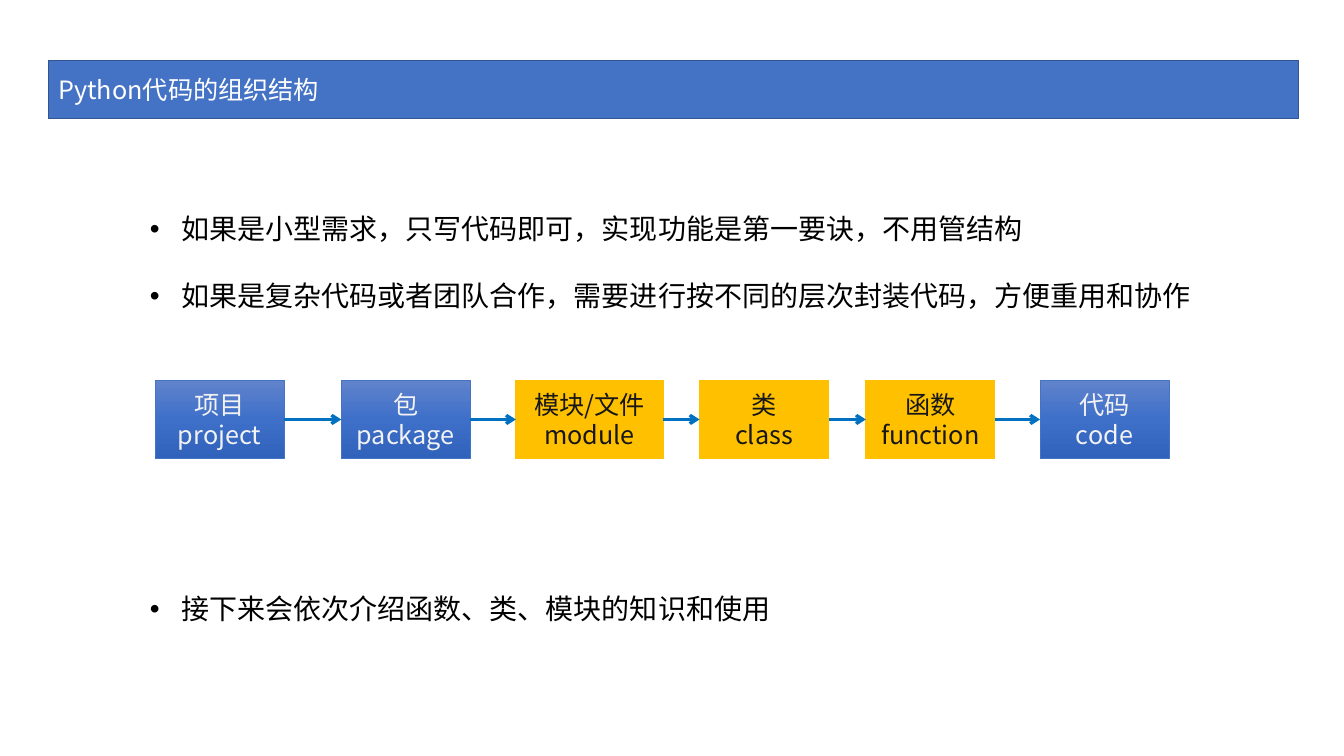
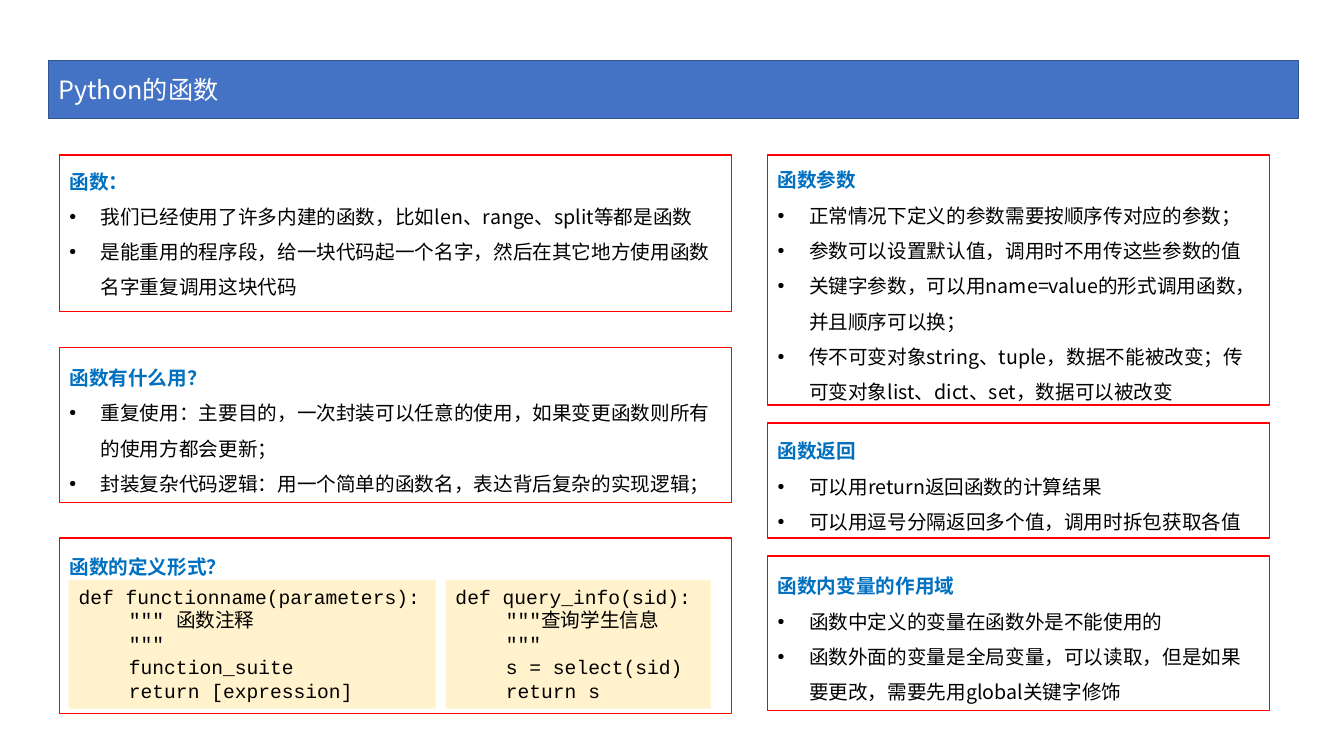
from dataclasses import dataclass
from itertools import pairwise

from lxml import etree
from pptx import Presentation
from pptx.dml.color import RGBColor
from pptx.enum import shapes, text
from pptx.oxml import ns
from pptx.util import Cm, Pt

COLORS = {
    "bar": "4472C4", "bar_edge": "325491", "white": "FFFFFF", "black": "000000",
    "pale": "F2F2F2", "dark": "181717", "gold": "FFC000", "accent": "0070C0",
    "frame": "FF0000", "code": "FFF2CC",
}
STEP_GRADIENT = ((0, "6183CB"), (50, "3E70CA"), (100, "3062BB"))
BODY_FONT, CODE_FONT = "Noto Sans CJK SC", "Courier New"
HANGING, CODE_INDENT = 0.79, 1.27
STEP_TOP, STEP_HEIGHT = 9.58, 1.98
PANEL_TOP = 3.91


@dataclass(frozen=True)
class Box:
    left: float
    top: float
    width: float
    height: float


@dataclass(frozen=True)
class Step:
    """One level of code organisation; highlighted levels are taught next."""
    left: float
    label: str
    term: str
    highlighted: bool = False
    width: float = 3.25


@dataclass(frozen=True)
class Panel:
    height: float
    heading: str
    points: tuple[str, ...] = ()
    bottom_inset: float = 0.13
    anchor: text.MSO_ANCHOR = text.MSO_ANCHOR.MIDDLE


@dataclass(frozen=True)
class Column:
    left: float
    width: float
    gap: float
    panels: tuple[Panel, ...]


@dataclass(frozen=True)
class Snippet:
    left: float
    width: float
    signature: str
    body: tuple[str, ...]


STEPS = (
    Step(3.91, "项目", "project"),
    Step(8.6, "包", "package"),
    Step(13, "模块/文件", "module", True, 3.71),
    Step(17.63, "类", "class", True),
    Step(21.82, "函数", "function", True),
    Step(26.21, "代码", "code"),
)
ADVICE = (
    (Box(3.53, 4.01, 26.9, 4.34), (
        "如果是小型需求，只写代码即可，实现功能是第一要诀，不用管结构",
        "如果是复杂代码或者团队合作，需要进行按不同的层次封装代码，方便重用和协作",
    )),
    (Box(3.53, 13.74, 26.9, 2.34), ("接下来会依次介绍函数、类、模块的知识和使用",)),
)
COLUMNS = (
    Column(1.5, 16.94, 0.9, (
        Panel(3.94, "函数：", (
            "我们已经使用了许多内建的函数，比如len、range、split等都是函数",
            "是能重用的程序段，给一块代码起一个名字，然后在其它地方使用函数名字重复调用这块代码",
        ), bottom_inset=0.38),
        Panel(3.91, "函数有什么用？", (
            "重复使用：主要目的，一次封装可以任意的使用，如果变更函数则所有的使用方都会更新；",
            "封装复杂代码逻辑：用一个简单的函数名，表达背后复杂的实现逻辑；",
        )),
        Panel(4.42, "函数的定义形式？", anchor=text.MSO_ANCHOR.TOP),
    )),
    Column(19.35, 12.65, 0.45, (
        Panel(6.3, "函数参数", (
            "正常情况下定义的参数需要按顺序传对应的参数；",
            "参数可以设置默认值，调用时不用传这些参数的值",
            "关键字参数，可以用name=value的形式调用函数，并且顺序可以换；",
            "传不可变对象string、tuple，数据不能被改变；传可变对象list、dict、set，数据可以被改变",
        )),
        Panel(2.9, "函数返回", (
            "可以用return返回函数的计算结果",
            "可以用逗号分隔返回多个值，调用时拆包获取各值",
        )),
        Panel(3.89, "函数内变量的作用域", (
            "函数中定义的变量在函数外是不能使用的",
            "函数外面的变量是全局变量，可以读取，但是如果要更改，需要先用global关键字修饰",
        )),
    )),
)
SNIPPETS = (
    Snippet(11.23, 6.68, "def query_info(sid):",
            ('"""查询学生信息', '"""', "s = select(sid)", "return s")),
    Snippet(1.73, 9.25, "def functionname(parameters):",
            ('""" 函数注释', '"""', "function_suite", "return [expression]")),
)


def rgb(name: str) -> RGBColor:
    return RGBColor.from_string(COLORS[name])


def add_box(slide, box: Box, fill: str, line: str | None = None,
            line_width: float = 1, anchor=text.MSO_ANCHOR.MIDDLE):
    shape = slide.shapes.add_shape(
        shapes.MSO_SHAPE.RECTANGLE,
        Cm(box.left), Cm(box.top), Cm(box.width), Cm(box.height))
    shape.shadow.inherit = False
    shape.fill.solid()
    shape.fill.fore_color.rgb = rgb(fill)
    if line:
        shape.line.color.rgb = rgb(line)
        shape.line.width = Pt(line_width)
    else:
        shape.line.fill.background()
    shape.text_frame.word_wrap = True
    shape.text_frame.vertical_anchor = anchor
    return shape


def write(frame, content: str, *, size: float, color: str = "black",
          font: str = BODY_FONT, bold: bool = False, spacing: float = 1,
          align=text.PP_ALIGN.LEFT, bullet: bool = False, indent: float = 0) -> None:
    """Put one formatted paragraph at the end of a text frame."""
    paragraph = frame.paragraphs[-1]
    if paragraph.runs:
        paragraph = frame.add_paragraph()
    paragraph.alignment = align
    paragraph.line_spacing = spacing
    run = paragraph.add_run()
    run.text = content
    run.font.name = font
    run.font.size = Pt(size)
    run.font.bold = bold
    run.font.color.rgb = rgb(color)
    etree.SubElement(run.font._element, ns.qn("a:ea"), typeface=BODY_FONT)
    properties = paragraph._p.get_or_add_pPr()
    if bullet:
        properties.set("marL", str(Cm(HANGING)))
        properties.set("indent", str(-Cm(HANGING)))
        etree.SubElement(properties, ns.qn("a:buFont"), typeface="Arial")
        etree.SubElement(properties, ns.qn("a:buChar"), char="•")
    elif indent:
        properties.set("marL", str(Cm(indent)))


def apply_gradient(shape) -> None:
    """Shade a shape downwards through the three step colours."""
    shape.fill.gradient()
    shape.fill.gradient_angle = 270
    stops = shape._element.spPr.find(ns.qn("a:gradFill")).find(ns.qn("a:gsLst"))
    for old_stop in list(stops):
        stops.remove(old_stop)
    for percent, color in STEP_GRADIENT:
        stop = etree.SubElement(stops, ns.qn("a:gs"), pos=str(percent * 1000))
        etree.SubElement(stop, ns.qn("a:srgbClr"), val=color)


def add_titled_slide(deck, title: str):
    slide = deck.slides.add_slide(deck.slide_layouts[6])
    bar = add_box(slide, Box(1.22, 1.52, 31.5, 1.47), "bar", "bar_edge")
    write(bar.text_frame, title, size=18, color="white")
    return slide


def add_step(slide, step: Step):
    fill = "gold" if step.highlighted else "bar"
    shape = add_box(slide, Box(step.left, STEP_TOP, step.width, STEP_HEIGHT),
                    fill, fill, 0.5)
    if not step.highlighted:
        apply_gradient(shape)
    for content in (step.label, step.term):
        write(shape.text_frame, content, size=18, align=text.PP_ALIGN.CENTER,
              color="dark" if step.highlighted else "pale")
    return shape


def add_arrow(slide, source, target) -> None:
    arrow = slide.shapes.add_connector(shapes.MSO_CONNECTOR.STRAIGHT, 0, 0, 0, 0)
    arrow.begin_connect(source, 3)
    arrow.end_connect(target, 1)
    arrow.line.color.rgb = rgb("accent")
    arrow.line.width = Pt(2.25)
    etree.SubElement(arrow.line._get_or_add_ln(), ns.qn("a:tailEnd"), type="arrow")
    etree.SubElement(arrow._element.spPr, ns.qn("a:effectLst"))


def add_column(slide, column: Column) -> None:
    top = PANEL_TOP
    for panel in column.panels:
        shape = add_box(slide, Box(column.left, top, column.width, panel.height),
                        "white", "frame", anchor=panel.anchor)
        frame = shape.text_frame
        frame.margin_bottom = Cm(panel.bottom_inset)
        write(frame, panel.heading, size=14, color="accent", bold=True, spacing=1.5)
        for point in panel.points:
            write(frame, point, size=14, spacing=1.5, bullet=True)
        top += panel.height + column.gap


def add_snippet(slide, snippet: Snippet) -> None:
    shape = add_box(slide, Box(snippet.left, 14.61, snippet.width, 3.25), "code",
                    anchor=text.MSO_ANCHOR.TOP)
    frame = shape.text_frame
    frame.auto_size = text.MSO_AUTO_SIZE.SHAPE_TO_FIT_TEXT
    write(frame, snippet.signature, size=14, font=CODE_FONT)
    for statement in snippet.body:
        write(frame, statement, size=14, font=CODE_FONT, indent=CODE_INDENT)


def build_structure_slide(deck) -> None:
    slide = add_titled_slide(deck, "Python代码的组织结构")
    steps = [add_step(slide, step) for step in STEPS]
    for source, target in pairwise(steps):
        add_arrow(slide, source, target)
    for box, points in ADVICE:
        frame = add_box(slide, box, "white").text_frame
        for point in points:
            write(frame, point, size=20, spacing=2, bullet=True)


def build_function_slide(deck) -> None:
    slide = add_titled_slide(deck, "Python的函数")
    for column in COLUMNS:
        add_column(slide, column)
    for snippet in SNIPPETS:
        add_snippet(slide, snippet)


def main() -> None:
    deck = Presentation()
    deck.slide_width, deck.slide_height = Cm(33.87), Cm(19.05)
    build_structure_slide(deck)
    build_function_slide(deck)
    deck.save("out.pptx")


if __name__ == "__main__":
    main()
